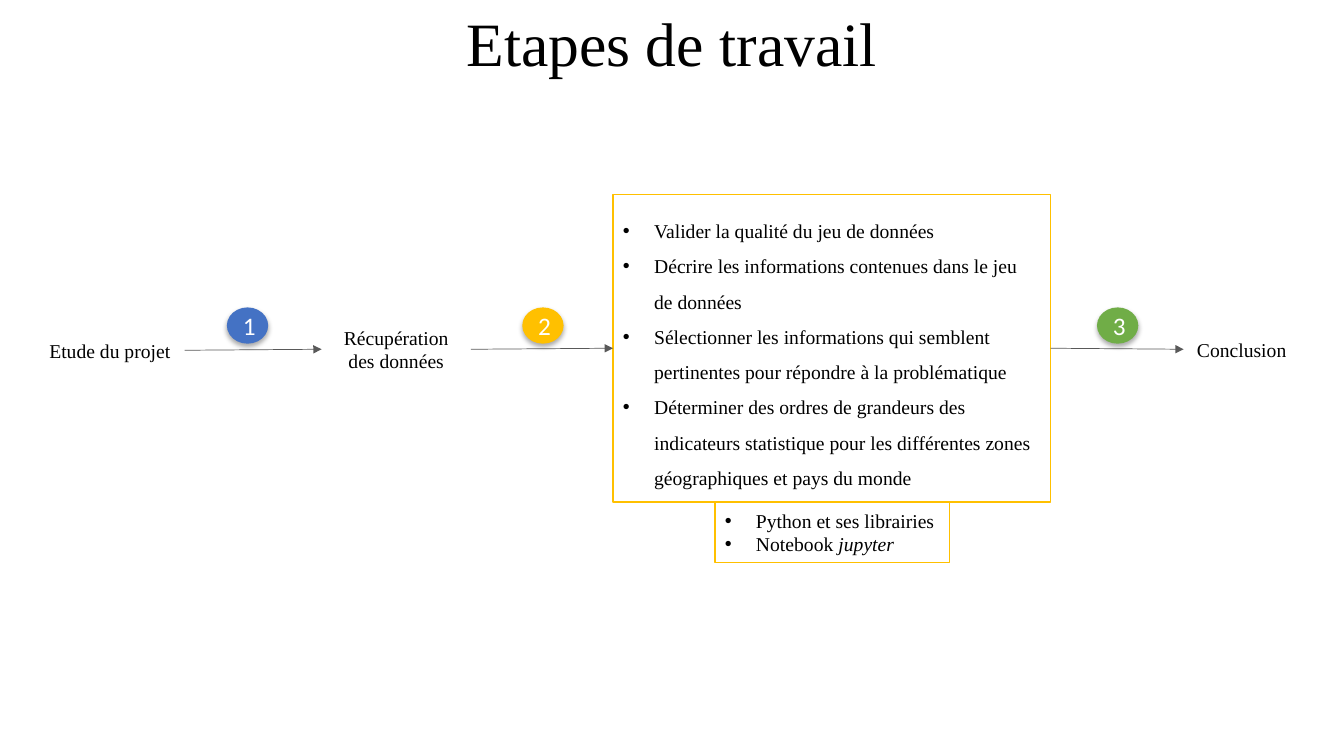
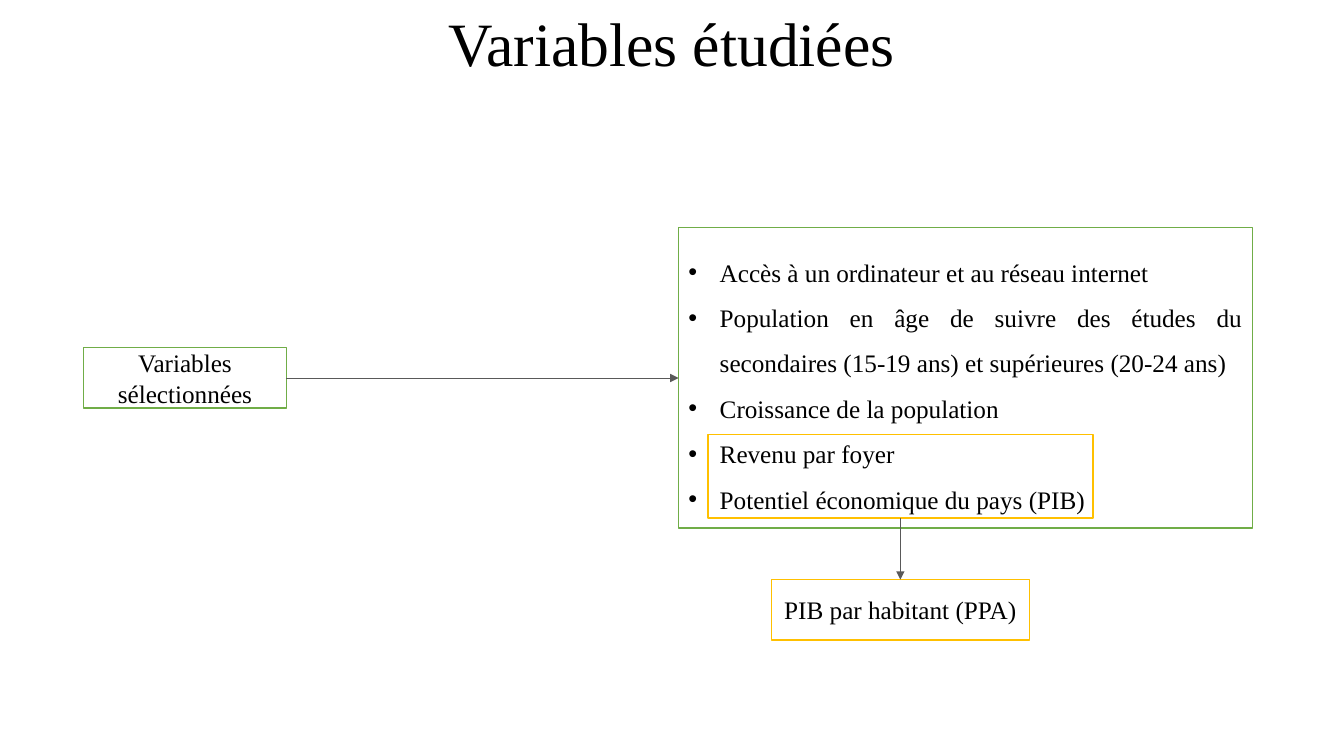
import pptx
import pptx.util
import pptx.dml.color
import pptx.enum.shapes
import pptx.enum.text
import pptx.oxml
import pptx.oxml.ns

PX = 9144  # EMU in one px, 100 px to the inch
WIDE, HIGH = 1333, 750
SERIF, SANS = "Times New Roman", "Calibri"
COLORS = {
    "ink": "000000", "white": "FFFFFF", "gray": "595959",
    "blue": "4472C4", "gold": "FFC000", "green": "70AD47",
}
ALIGN = pptx.enum.text.PP_ALIGN
SHAPE = pptx.enum.shapes.MSO_SHAPE
RIGHT, LEFT, TOP, BOTTOM = 3, 1, 0, 2

# A line of text is a string, or a pair: plain part, italic part.
STEPS = {
    "title": "Etapes de travail",
    "size": 14,
    "labels": {
        "study": ((35, 321, 148, 53), "Etude du projet"),
        "data": ((319, 320, 148, 53), "Récupération des données"),
        "end": ((1174, 320, 120, 53), "Conclusion "),
    },
    "boxes": {
        "tasks": dict(at=(608, 193, 434, 305), line="gold", bullet=True, space=1.5, text=[
            "Valider la qualité du jeu de données",
            "Décrire les informations contenues dans le jeu de données",
            "Sélectionner les informations qui semblent pertinentes "
            "pour répondre à la problématique",
            "Déterminer des ordres de grandeurs des indicateurs statistique "
            "pour les différentes zones géographiques et pays du monde",
        ]),
        "tools": dict(at=(709, 498, 233, 60), line="gold", bullet=True, text=[
            "Python et ses librairies",
            ("Notebook ", "jupyter"),
        ]),
    },
    "arrows": [("study", RIGHT, "data", LEFT), ("data", RIGHT, "tasks", LEFT),
               ("tasks", RIGHT, "end", LEFT)],
    "badges": [(225, "blue"), (518, "gold"), (1088, "green")],
}
STUDIED = {
    "title": "Variables étudiées",
    "size": 18,
    "labels": {},
    "boxes": {
        "chosen": dict(at=(83, 345, 201, 60), line="green", fill="white",
                       text=["Variables sélectionnées"]),
        "list": dict(at=(673, 226, 569, 298), line="green", fill="white", bullet=True,
                     space=1.5, align=ALIGN.JUSTIFY, text=[
            "Accès à un ordinateur et au réseau internet",
            "Population en âge de suivre des études du secondaires (15-19 ans) "
            "et supérieures (20-24 ans)",
            "Croissance de la population",
            "Revenu par foyer",
            "Potentiel économique du pays (PIB)",
        ]),
        "frame": dict(at=(702, 431, 382, 83), line="gold"),
        "ratio": dict(at=(765, 575, 256, 60), line="gold", fill="white",
                      text=["PIB par habitant (PPA)"]),
    },
    "arrows": [("chosen", RIGHT, "list", LEFT), ("frame", BOTTOM, "ratio", TOP)],
    "badges": [],
}
BADGE_TOP, BADGE_WIDE, BADGE_HIGH = 305, 41, 36


def emu(*sizes):
    return [pptx.util.Emu(size * PX) for size in sizes]


def rgb(name):
    return pptx.dml.color.RGBColor.from_string(COLORS[name])


def add_xml(parent, tag, inner="", attrs=""):
    space = pptx.oxml.ns.nsdecls("a")
    parent.append(pptx.oxml.parse_xml(f"<a:{tag} {space} {attrs}>{inner}</a:{tag}>"))


def write(shape, lines, size, font=SERIF, color="ink", bullet=False, space=None, align=None):
    frame = shape.text_frame
    frame.word_wrap = True
    frame.vertical_anchor = pptx.enum.text.MSO_ANCHOR.MIDDLE
    for i, line in enumerate(lines):
        para = frame.add_paragraph() if i else frame.paragraphs[0]
        parts = (line,) if isinstance(line, str) else line
        for j, part in enumerate(parts):
            run = para.add_run()
            run.text = part
            if j:
                run.font.italic = True
        para.alignment = align or (ALIGN.LEFT if bullet else ALIGN.CENTER)
        if space:
            para.line_spacing = space
        if bullet:
            props = para._p.get_or_add_pPr()
            props.set("marL", str(31 * PX))
            props.set("indent", str(-31 * PX))
            add_xml(props, "buFont", attrs='typeface="Arial"')
            add_xml(props, "buChar", attrs='char="•"')
        para.font.name = font
        para.font.size = pptx.util.Pt(size)
        para.font.color.rgb = rgb(color)


def add_box(slide, kind, at, fill=None, line=None):
    shape = slide.shapes.add_shape(kind, *emu(*at))
    shape.shadow.inherit = False
    if fill:
        shape.fill.solid()
        shape.fill.fore_color.rgb = rgb(fill)
    else:
        shape.fill.background()
    if line:
        shape.line.color.rgb = rgb(line)
        shape.line.width = pptx.util.Pt(1)
    else:
        shape.line.fill.background()
    return shape


def add_badge(slide, left, color, number):
    """Add a numbered disc with a soft shadow below it."""
    disc = add_box(slide, SHAPE.OVAL, (left, BADGE_TOP, BADGE_WIDE, BADGE_HIGH), color)
    blur, dist = pptx.util.Pt(3.5), pptx.util.Pt(2.2)
    effects = disc._element.spPr.find(pptx.oxml.ns.qn("a:effectLst"))
    add_xml(effects, "outerShdw",
            '<a:srgbClr val="000000"><a:alpha val="32000"/></a:srgbClr>',
            f'blurRad="{blur}" dist="{dist}" dir="5400000" algn="ctr" rotWithShape="0"')
    write(disc, [str(number)], 18, SANS, "white")


def join(slide, start, exit, stop, entry):
    straight = pptx.enum.shapes.MSO_CONNECTOR.STRAIGHT
    arrow = slide.shapes.add_connector(straight, 0, 0, 0, 0)
    arrow.begin_connect(start, exit)
    arrow.end_connect(stop, entry)
    arrow.line.color.rgb = rgb("gray")
    arrow.line.width = pptx.util.Pt(0.5)
    add_xml(arrow.line._get_or_add_ln(), "tailEnd", attrs='type="triangle"')
    add_xml(arrow._element.spPr, "effectLst")


def build(deck, page):
    slide = deck.slides.add_slide(deck.slide_layouts[5])
    title = slide.shapes.title
    title.left, title.top, title.width, title.height = emu(0, 0, WIDE, 92)
    write(title, [page["title"]], 44, space=0.9)

    nodes = {}
    for name, (at, text) in page["labels"].items():
        nodes[name] = slide.shapes.add_textbox(*emu(*at))
        write(nodes[name], [text], page["size"])
    for name, box in page["boxes"].items():
        nodes[name] = add_box(slide, SHAPE.RECTANGLE, box["at"], box.get("fill"), box["line"])
        if "text" in box:
            write(nodes[name], box["text"], page["size"], bullet=box.get("bullet", False),
                  space=box.get("space"), align=box.get("align"))
    for start, exit, stop, entry in page["arrows"]:
        join(slide, nodes[start], exit, nodes[stop], entry)
    for number, (left, color) in enumerate(page["badges"], 1):
        add_badge(slide, left, color, number)


def main():
    deck = pptx.Presentation()
    deck.slide_width, deck.slide_height = emu(WIDE, HIGH)
    for page in (STEPS, STUDIED):
        build(deck, page)
    deck.save("out.pptx")


if __name__ == "__main__":
    main()
